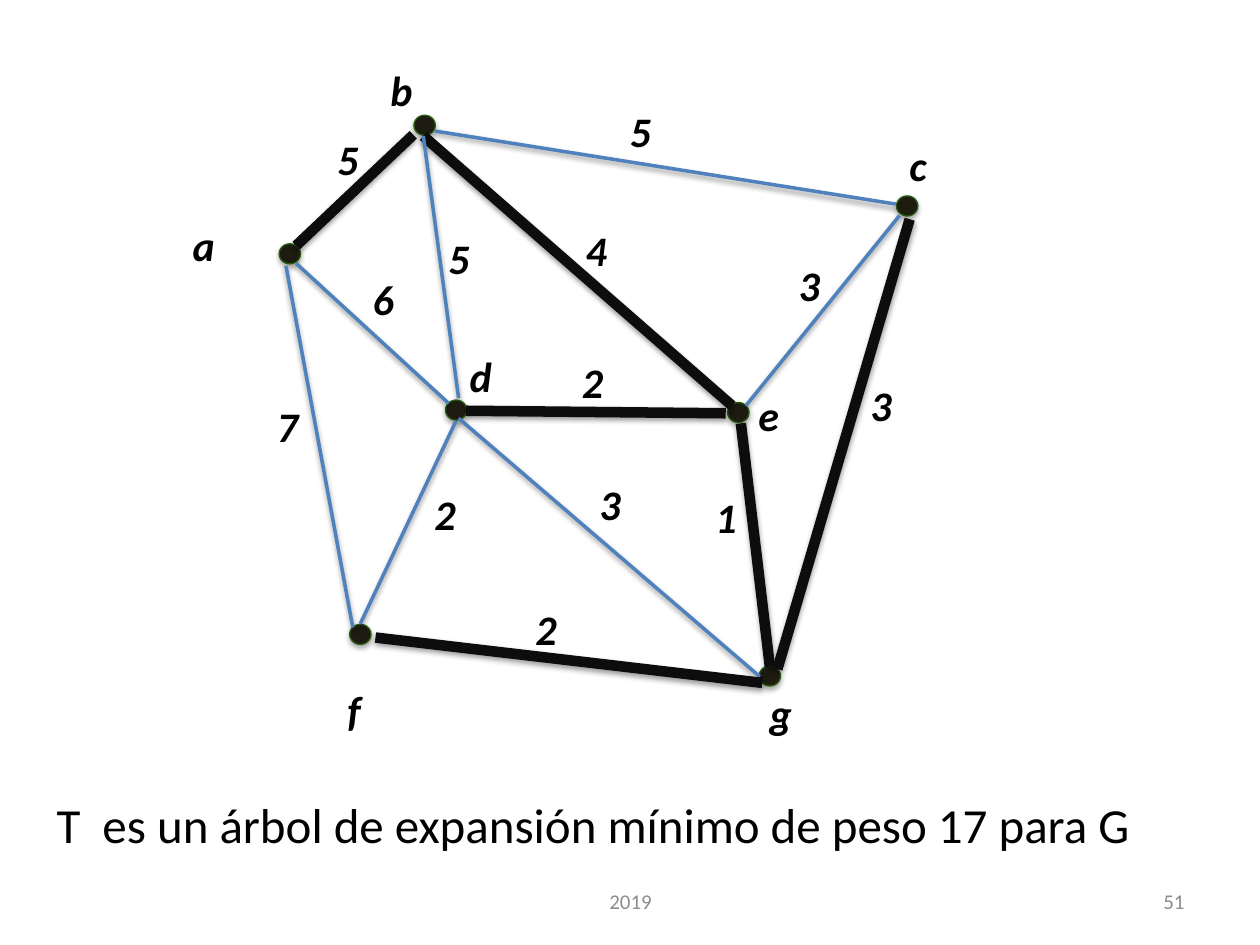
"""Build a slide with a weighted graph and its minimum spanning tree."""
from lxml.etree import SubElement
from pptx import Presentation
from pptx.dml.color import RGBColor
from pptx.enum.shapes import MSO_CONNECTOR, MSO_SHAPE
from pptx.enum.text import MSO_ANCHOR, MSO_AUTO_SIZE, PP_ALIGN
from pptx.oxml.ns import qn
from pptx.util import Inches, Pt

HUES = {"dot": "1E1C11", "rim": "295E12", "edge": "4F81BD", "tree": "0D0D0D",
        "text": "000000", "foot": "8C8C8C", "shade": "000000"}


def cast(shape, dist, alpha):
    props = shape._element.spPr
    glow = SubElement(SubElement(props, qn("a:effectLst")), qn("a:outerShdw"),
                      blurRad=str(Pt(3.1)), dist=str(Pt(dist)), dir="5400000", rotWithShape="0")
    tint = SubElement(glow, qn("a:srgbClr"), val=HUES["shade"])
    SubElement(tint, qn("a:alpha"), val=str(alpha * 1000))


def write(text, left, top, width, height, size, hue="text", align=PP_ALIGN.LEFT, bold=False):
    box = slide.shapes.add_textbox(Inches(left), Inches(top), Inches(width), Inches(height))
    frame = box.text_frame
    frame.word_wrap = True
    frame.text = text
    para = frame.paragraphs[0]
    para.alignment = align
    font = para.font
    font.name, font.size = "Calibri", Pt(size)
    font.bold = font.italic = bold
    font.color.rgb = RGBColor.from_string(HUES[hue])
    return frame


deck = Presentation()
deck.slide_width, deck.slide_height = Inches(10), Inches(7.5)
slide = deck.slides.add_slide(deck.slide_layouts[6])

nodes = [
    ("a", 2.22, 1.93, 1.43, 1.69),
    ("b", 3.29, 0.91, 3, 0.46),
    ("c", 7.12, 1.55, 7.12, 1.06),
    ("d", 3.54, 3.17, 3.63, 2.73),
    ("e", 5.78, 3.19, 5.92, 3.04),
    ("f", 2.78, 4.95, 2.66, 5.38),
    ("g", 6.03, 5.28, 6.01, 5.41),
]
edges = [
    ("3", "edge", 3.64, 3.32, 6.03, 5.37, 4.66, 3.75),
    ("4", "tree", 3.36, 1.08, 5.81, 3.22, 4.55, 1.73),
    ("5", "edge", 3.45, 1.04, 7.11, 1.62, 4.9, 0.79),
    ("6", "edge", 2.35, 2.09, 3.56, 3.2, 2.86, 2.12),
    ("3", "edge", 5.92, 3.22, 7.14, 1.71, 6.24, 2.01),
    ("5", "tree", 2.35, 1.95, 3.28, 1.07, 2.58, 1.01),
    ("5", "edge", 3.64, 3.16, 3.36, 1.08, 3.46, 1.8),
    ("1", "tree", 5.88, 3.36, 6.11, 5.29, 5.58, 3.85),
    ("3", "tree", 7.22, 1.74, 6.17, 5.31, 6.81, 2.96),
    ("2", "tree", 3.7, 3.26, 5.76, 3.28, 4.52, 2.78),
    ("2", "tree", 2.98, 5.06, 6.05, 5.42, 4.15, 4.74),
    ("2", "edge", 3.62, 3.34, 2.86, 4.95, 3.35, 3.83),
    ("7", "edge", 2.27, 2.11, 2.8, 4.98, 2.1, 3.13),
]
widths = {"edge": 2, "tree": 6}

for node in nodes:
    dot = slide.shapes.add_shape(MSO_SHAPE.OVAL, *map(Inches, node[1:3]),
                                 Inches(0.16), Inches(0.17))
    dot.rotation = 90
    dot.fill.solid()
    dot.fill.fore_color.rgb = RGBColor.from_string(HUES["dot"])
    dot.line.color.rgb = RGBColor.from_string(HUES["rim"])
    dot.line.width = Pt(0.75)
    cast(dot, 1.8, 35)

for cost, kind, *ends in edges:
    line = slide.shapes.add_connector(MSO_CONNECTOR.STRAIGHT, *map(Inches, ends[:4]))
    line.line.color.rgb = RGBColor.from_string(HUES[kind])
    line.line.width = Pt(widths[kind])
    cast(line, 1.6, 38)

for text, *rest in nodes + edges:
    frame = write(text, *rest[-2:], 0.67, 0.5, 24, bold=True)
    frame.auto_size = MSO_AUTO_SIZE.SHAPE_TO_FIT_TEXT

claim = write("T  es un árbol de expansión mínimo de peso 17 para G", 0.35, 6.26, 8.95, 0.57, 28)
claim.auto_size = MSO_AUTO_SIZE.SHAPE_TO_FIT_TEXT

for text, left, width, align in [("2019", 3.42, 3.17, PP_ALIGN.CENTER),
                                 ("51", 7.17, 2.33, PP_ALIGN.RIGHT)]:
    foot = write(text, left, 6.95, width, 0.4, 12, "foot", align)
    foot.vertical_anchor = MSO_ANCHOR.MIDDLE

deck.save("out.pptx")
